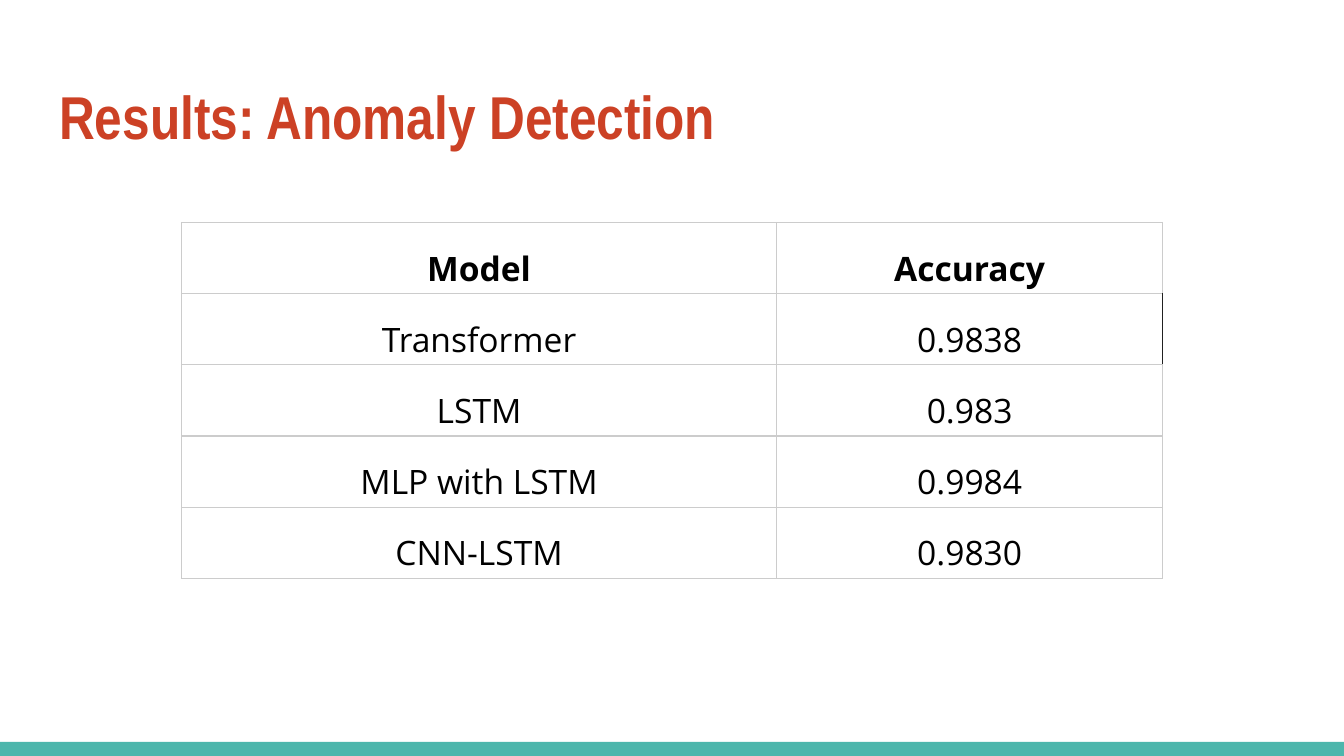
from lxml import etree
from pptx import Presentation
from pptx.dml.color import RGBColor
from pptx.enum.shapes import MSO_SHAPE
from pptx.enum.text import MSO_ANCHOR, PP_ALIGN
from pptx.oxml.ns import qn
from pptx.util import Inches, Pt

RECTANGLE = MSO_SHAPE.RECTANGLE
LEFT, CENTER = PP_ALIGN.LEFT, PP_ALIGN.CENTER
TOP, BOTTOM = MSO_ANCHOR.TOP, MSO_ANCHOR.BOTTOM
TITLE_ONLY = 5

COLORS = {
    "background": "FFFFFF",
    "footer": "4DB6AC",
    "title": "CC4125",
    "text": "000000",
    "border": "CCCCCC",
    "dark_border": "212121",
}
TITLE_FONT, BODY_FONT = "Arial Narrow", "Open Sans"
GRID_COLUMNS, GRID_ROWS = 100, 56.25
BORDER_WIDTH = Pt(0.75)

RESULTS = [
    ("Model", "Accuracy"),
    ("Transformer", "0.9838"),
    ("LSTM", "0.983"),
    ("MLP with LSTM", "0.9984"),
    ("CNN-LSTM", "0.9830"),
]


def color(name):
    return RGBColor.from_string(COLORS[name])


def write_text(frame, text, *, font, size, fill, bold=False, align=LEFT, spacing=1.0):
    paragraph = frame.paragraphs[0]
    paragraph.alignment = align
    paragraph.line_spacing = spacing
    run = paragraph.add_run()
    run.text = text
    run.font.name = font
    run.font.size = Pt(size)
    run.font.bold = bold
    run.font.color.rgb = color(fill)


def set_borders(cell, **side_colors):
    """Draw the cell's lines; sides not named take the usual border colour."""
    properties = cell._tc.get_or_add_tcPr()
    for index, side in enumerate("LRTB"):
        line = etree.Element(qn(f"a:ln{side}"), w=str(BORDER_WIDTH))
        fill = etree.SubElement(line, qn("a:solidFill"))
        name = side_colors.get(side, "border")
        etree.SubElement(fill, qn("a:srgbClr"), val=COLORS[name])
        properties.insert(index, line)


class ResultsSlide:
    """Holds the slide and its grid; lengths are in grid columns and rows."""

    def __init__(self, presentation):
        self.column = presentation.slide_width / GRID_COLUMNS
        self.row = presentation.slide_height / GRID_ROWS
        self.slide = presentation.slides.add_slide(presentation.slide_layouts[TITLE_ONLY])
        background = self.slide.background.fill
        background.solid()
        background.fore_color.rgb = color("background")

    def place(self, left, top, width, height):
        return (round(left * self.column), round(top * self.row),
                round(width * self.column), round(height * self.row))

    def add_bar(self, *area, fill):
        shape = self.slide.shapes.add_shape(RECTANGLE, *self.place(*area))
        shape.shadow.inherit = False
        shape.fill.solid()
        shape.fill.fore_color.rgb = color(fill)
        shape.line.fill.background()

    def set_title(self, text, *area):
        title = self.slide.shapes.title
        title.left, title.top, title.width, title.height = self.place(*area)
        frame = title.text_frame
        frame.vertical_anchor = TOP
        frame.margin_left = frame.margin_right = Inches(0.1)
        frame.margin_top = frame.margin_bottom = Inches(0.1)
        write_text(frame, text, font=TITLE_FONT, size=32.4, fill="title", bold=True)

    def add_results_table(self, records, left, top, widths, row_height):
        area = self.place(left, top, sum(widths), row_height * len(records))
        table = self.slide.shapes.add_table(len(records), len(widths), *area).table
        table.horz_banding = table.first_row = False
        for column, width in zip(table.columns, widths):
            column.width = round(width * self.column)
        for row_index, record in enumerate(records):
            for column_index, text in enumerate(record):
                cell = table.cell(row_index, column_index)
                cell.fill.background()
                cell.vertical_anchor = BOTTOM
                cell.margin_left = cell.margin_right = Inches(0.03)
                cell.margin_top = cell.margin_bottom = Inches(0.02)
                write_text(cell.text_frame, text, font=BODY_FONT, size=18, fill="text",
                           bold=row_index == 0, align=CENTER, spacing=1.15)
                dark_side = {"R": "dark_border"} if (row_index, column_index) == (1, 1) else {}
                set_borders(cell, **dark_side)


def main():
    presentation = Presentation()
    presentation.slide_width = Inches(10)
    presentation.slide_height = presentation.slide_width * 9 // 16
    slide = ResultsSlide(presentation)
    slide.add_bar(0, 55.2, GRID_COLUMNS, GRID_ROWS - 55.2, fill="footer")
    slide.set_title("Results: Anomaly Detection", 3.4, 4.9, 93.2, 7.7)
    slide.add_results_table(RESULTS, 13.5, 16.55, widths=(44.3, 28.7), row_height=5.3)
    presentation.save("out.pptx")


if __name__ == "__main__":
    main()
